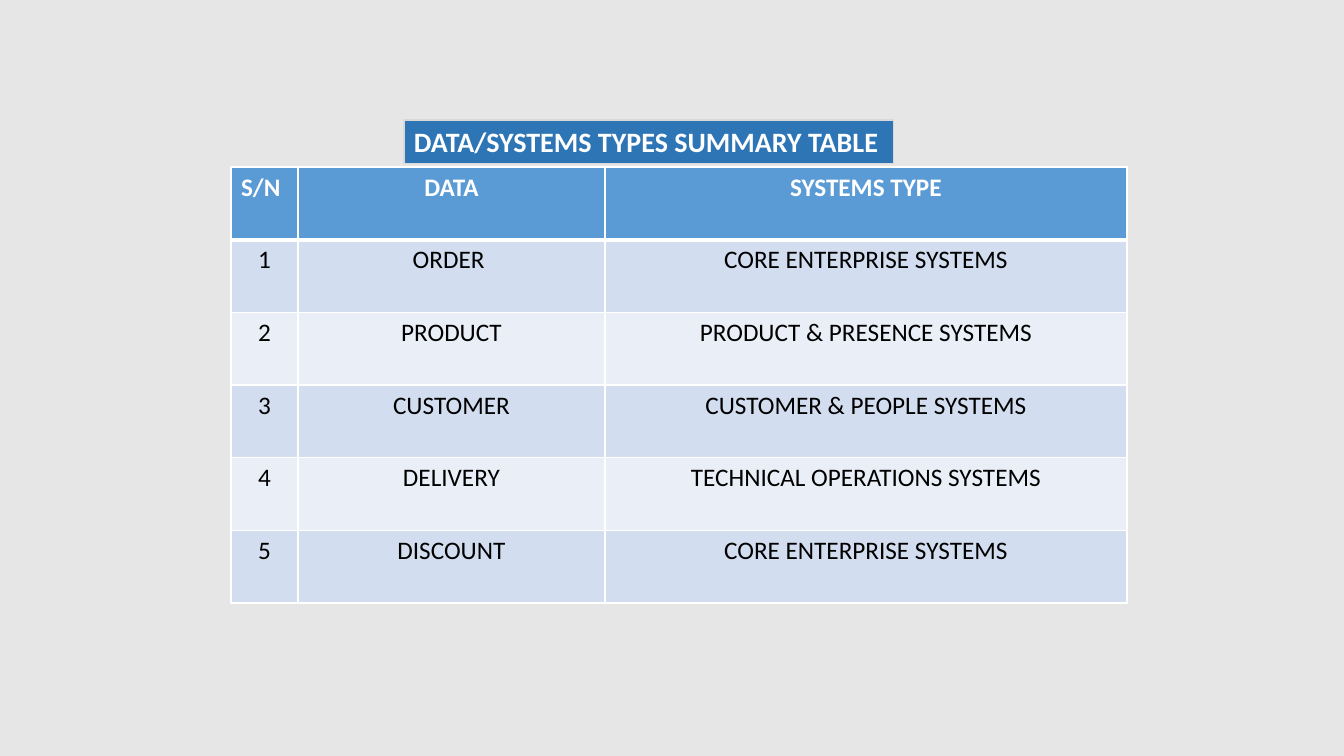
from dataclasses import dataclass

from lxml.etree import SubElement
from pptx import Presentation
from pptx.dml.color import RGBColor
from pptx.enum.shapes import MSO_SHAPE as Preset
from pptx.enum.text import MSO_ANCHOR as Anchor, MSO_AUTO_SIZE as AutoSize, PP_ALIGN as Align
from pptx.oxml.ns import qn
from pptx.util import Emu, Pt

EMU_PER_PX = 914400 / 100.8


@dataclass(frozen=True)
class Theme:
    font: str = "Calibri"
    title_size: float = 20
    table_size: float = 18
    background: str = "E7E6E6"
    title_fill: str = "2E75B6"
    title_line: str = "D9D9D9"
    header_fill: str = "5B9BD5"
    bands: tuple = ("D2DEEF", "EAEFF7")
    light: str = "FFFFFF"
    dark: str = "000000"
    border: float = 1
    header_rule: float = 3


THEME = Theme()

HEADINGS = ("S/N", "DATA", "SYSTEMS TYPE")
SYSTEMS = (
    ("ORDER ", "CORE ENTERPRISE SYSTEMS"),
    ("PRODUCT", "PRODUCT & PRESENCE SYSTEMS"),
    ("CUSTOMER", "CUSTOMER & PEOPLE SYSTEMS"),
    ("DELIVERY", "TECHNICAL OPERATIONS SYSTEMS"),
    ("DISCOUNT", "CORE ENTERPRISE SYSTEMS"),
)
COLUMN_WIDTHS = (67, 307, 522)


def px(pixels):
    return Emu(round(pixels * EMU_PER_PX))


def paint(fill, color):
    fill.solid()
    fill.fore_color.rgb = RGBColor.from_string(color)


def write(frame, text, size, color, bold, align):
    paragraph = frame.paragraphs[0]
    paragraph.alignment = align
    run = paragraph.add_run()
    run.text = text
    run.font.name = THEME.font
    run.font.size = Pt(size)
    run.font.bold = bold
    run.font.color.rgb = RGBColor.from_string(color)


def add_title(slide, text, left, top, width, height):
    banner = slide.shapes.add_shape(Preset.RECTANGLE, px(left), px(top), px(width), px(height))
    banner.shadow.inherit = False
    paint(banner.fill, THEME.title_fill)
    paint(banner.line.fill, THEME.title_line)
    banner.line.width = Pt(0.75)
    frame = banner.text_frame
    frame.word_wrap = True
    frame.auto_size = AutoSize.SHAPE_TO_FIT_TEXT
    frame.vertical_anchor = Anchor.TOP
    write(frame, text, THEME.title_size, THEME.light, True, Align.LEFT)


def set_borders(cell, top, bottom):
    properties = cell._tc.get_or_add_tcPr()
    sides = {"lnL": THEME.border, "lnR": THEME.border, "lnT": top, "lnB": bottom}
    for side, width in sides.items():
        edge = SubElement(properties, qn(f"a:{side}"), w=str(Pt(width)))
        solid = SubElement(edge, qn("a:solidFill"))
        SubElement(solid, qn("a:srgbClr"), val=THEME.light)


def fill_cell(cell, text, row, column):
    is_header = row == 0
    # Borders come before the fill in the cell properties
    set_borders(
        cell,
        top=THEME.header_rule if row == 1 else THEME.border,
        bottom=THEME.header_rule if is_header else THEME.border,
    )
    paint(cell.fill, THEME.header_fill if is_header else THEME.bands[(row - 1) % 2])
    write(
        cell.text_frame,
        text,
        THEME.table_size,
        THEME.light if is_header else THEME.dark,
        is_header,
        Align.LEFT if is_header and column == 0 else Align.CENTER,
    )


def add_summary(slide, records, left, top, height):
    summary = slide.shapes.add_table(
        len(records), len(COLUMN_WIDTHS), px(left), px(top), px(sum(COLUMN_WIDTHS)), px(height)
    ).table
    for column, width in zip(summary.columns, COLUMN_WIDTHS):
        column.width = px(width)
    for row, record in enumerate(records):
        summary.rows[row].height = px(height / len(records))
        for column, text in enumerate(record):
            fill_cell(summary.cell(row, column), text, row, column)


def main():
    deck = Presentation()
    deck.slide_width, deck.slide_height = px(1344), px(756)
    slide = deck.slides.add_slide(deck.slide_layouts[6])
    paint(slide.background.fill, THEME.background)

    # Summary table with numbered records
    numbered = [(str(number), *record) for number, record in enumerate(SYSTEMS, 1)]
    add_summary(slide, [HEADINGS, *numbered], 231, 167, 436)

    # Title banner above the table
    add_title(slide, "DATA/SYSTEMS TYPES SUMMARY TABLE", 404, 120, 490, 44)

    deck.save("out.pptx")


main()
